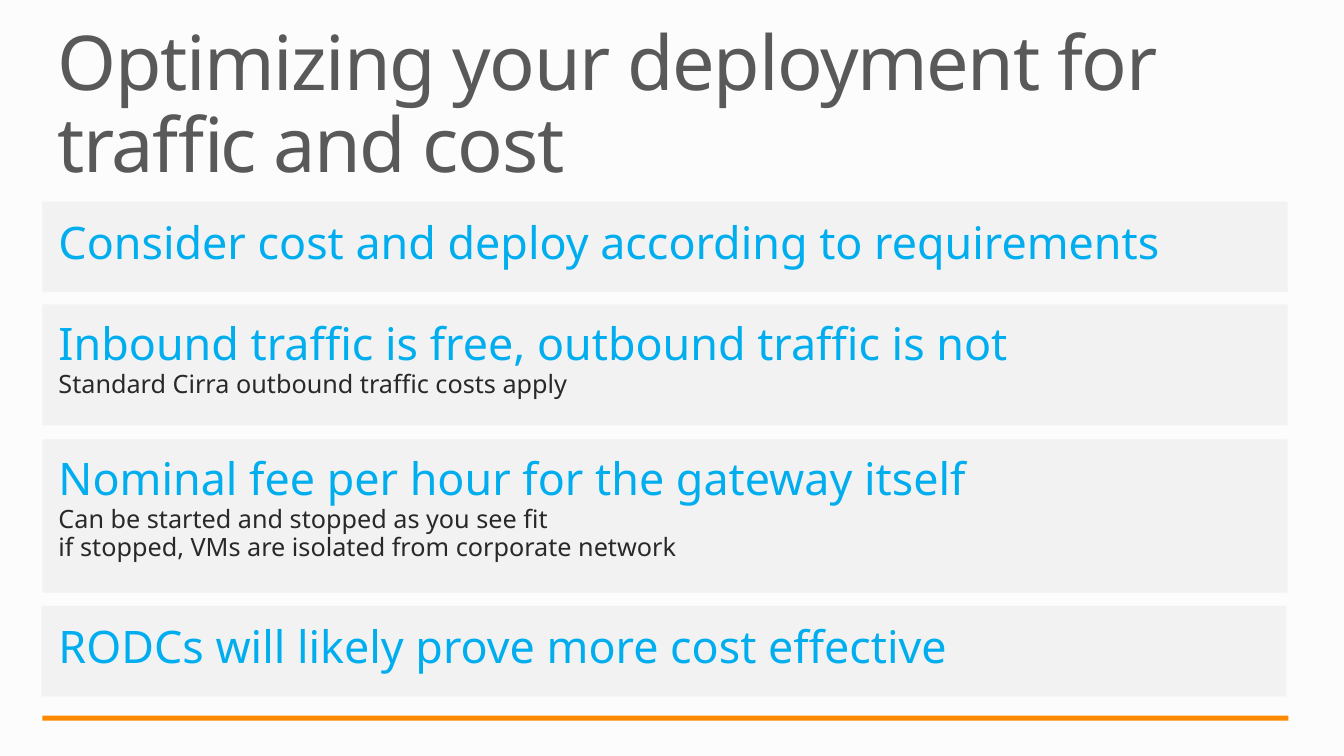
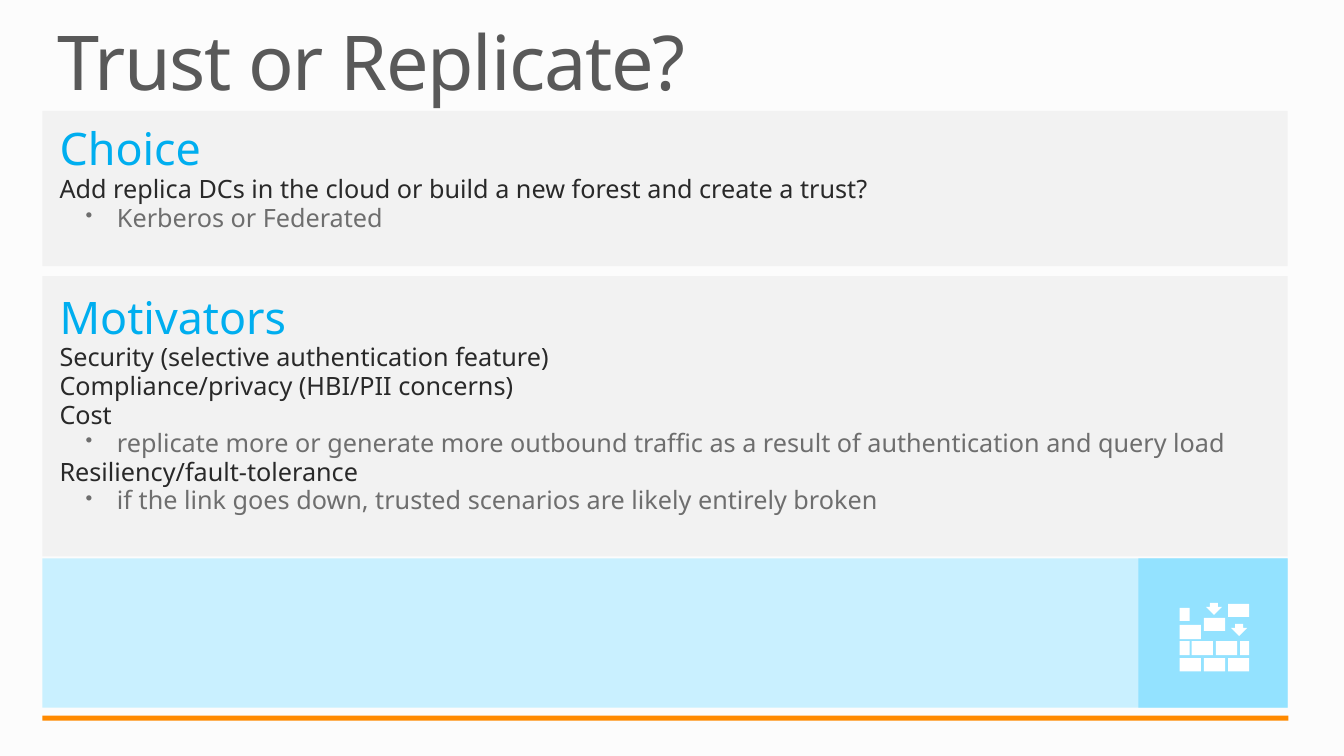
import pptx
import pptx.dml.color
import pptx.enum.shapes
import pptx.enum.text
import pptx.oxml.ns
import pptx.util
from lxml import etree

Inches = pptx.util.Inches
Pt = pptx.util.Pt

COLORS = {
    "background": "FCFCFC", "title": "595959", "heading": "00AEEF",
    "body": "292929", "bullet": "6E6E6E", "panel": "F2F2F2",
    "rule": "FF8A00", "band": "C9F0FF", "tile": "93E2FF", "icon": "FFFFFF",
}
# Text level: size in points, space before in points
LEVELS = {"title": (54, 0), "heading": (32, 0), "body": (18, 1), "bullet": (18, 1)}
FONT = "Noto Sans"
EDGE, WIDTH = 0.42, 12.35
TEXT_WIDTH = 12.19


class Slides:
    """Holds the shared style and the current page."""

    def __init__(self):
        self.deck = pptx.Presentation()
        self.deck.slide_width = Inches(13.33)
        self.deck.slide_height = Inches(7.5)
        self.page = None

    def color(self, name):
        return pptx.dml.color.RGBColor.from_string(COLORS[name])

    def paint(self, shape, name):
        shape.shadow.inherit = False
        shape.fill.solid()
        shape.fill.fore_color.rgb = self.color(name)
        shape.line.fill.background()

    def start(self, title):
        self.page = self.deck.slides.add_slide(self.deck.slide_layouts[6])
        fill = self.page.background.fill
        fill.solid()
        fill.fore_color.rgb = self.color("background")
        self.text(0.57, 0.25, 0.82, [("title", title)])
        self.block(EDGE, 7.1, 12.36, 0.05, "rule")

    def block(self, left, top, width, height, name):
        kind = pptx.enum.shapes.MSO_SHAPE.RECTANGLE
        box = self.page.shapes.add_shape(
            kind, Inches(left), Inches(top), Inches(width), Inches(height))
        self.paint(box, name)

    def text(self, left, top, height, lines):
        box = self.page.shapes.add_textbox(
            Inches(left), Inches(top), Inches(TEXT_WIDTH), Inches(height))
        frame = box.text_frame
        frame.word_wrap = True
        frame.margin_left = frame.margin_right = 0
        frame.margin_top = frame.margin_bottom = 0
        frame.vertical_anchor = pptx.enum.text.MSO_ANCHOR.TOP
        frame.text = "\n".join(line for level, line in lines)
        for para, (level, line) in zip(frame.paragraphs, lines):
            size, before = LEVELS[level]
            para.line_spacing = 0.9
            para.space_before = Pt(before)
            span = para.runs[0]
            span.font.name = FONT
            span.font.size = Pt(size)
            span.font.color.rgb = self.color(level)
            if level == "title":
                span._r.get_or_add_rPr().set("spc", "-100")
            if level == "bullet":
                self.bullet(para)

    def bullet(self, para):
        props = para._p.get_or_add_pPr()
        props.set("marL", str(Inches(0.57)))
        props.set("indent", str(Inches(-0.31)))
        qn = pptx.oxml.ns.qn
        etree.SubElement(props, qn("a:buSzPct")).set("val", "80000")
        etree.SubElement(props, qn("a:buChar")).set("char", "•")

    def panel(self, top, height, text_left, text_top, lines, left=EDGE):
        self.block(left, top, WIDTH, height, "panel")
        self.text(text_left, text_top, top + height - text_top, lines)

    def outline(self, contours, name):
        """Draws closed contours, given in hundredths of an inch, as one shape."""
        first, *others = contours
        builder = self.page.shapes.build_freeform(*first[0], scale=Inches(0.01))
        builder.add_line_segments(first[1:], close=True)
        for points in others:
            builder.move_to(*points[0])
            builder.add_line_segments(points[1:], close=True)
        self.paint(builder.convert_to_shape(), name)


def brick(left, top, width, height):
    right, bottom = left + width, top + height
    return [(left, top), (right, top), (right, bottom), (left, bottom)]


def down_arrow(tip_x, tip_y):
    steps = [(0, 0), (8, -8), (4, -8), (4, -12), (-4, -12), (-4, -8), (-8, -8)]
    return [(tip_x + dx, tip_y + dy) for dx, dy in steps]


slides = Slides()

# Traffic and cost
slides.start("Optimizing your deployment for traffic and cost")
slides.panel(2, 0.9, 0.58, 2.19, [
    ("heading", "Consider cost and deploy according to requirements")])
slides.panel(3.02, 1.2, 0.58, 3.19, [
    ("heading", "Inbound traffic is free, outbound traffic is not"),
    ("body", "Standard Cirra outbound traffic costs apply")])
slides.panel(4.36, 1.52, 0.58, 4.53, [
    ("heading", "Nominal fee per hour for the gateway itself"),
    ("body", "Can be started and stopped as you see fit"),
    ("body", "if stopped, VMs are isolated from corporate network")])
slides.panel(6.01, 0.9, 0.58, 6.2, [
    ("heading", "RODCs will likely prove more cost effective")], left=0.41)

# Trust or replicate
slides.start("Trust or Replicate?")
slides.panel(1.1, 1.54, 0.59, 1.26, [
    ("heading", "Choice"),
    ("body", "Add replica DCs in the cloud or build a new forest and create a trust?"),
    ("bullet", "Kerberos or Federated")])
slides.block(EDGE, 5.54, WIDTH, 1.48, "band")
slides.block(11.29, 5.54, 1.48, 1.48, "tile")
slides.panel(2.74, 2.78, 0.59, 2.93, [
    ("heading", "Motivators"),
    ("body", "Security (selective authentication feature)"),
    ("body", "Compliance/privacy (HBI/PII concerns)"),
    ("body", "Cost"),
    ("bullet", "replicate more or generate more outbound traffic as a result of "
               "authentication and query load"),
    ("body", "Resiliency/fault-tolerance"),
    ("bullet", "if the link goes down, trusted scenarios are likely entirely broken")])

# Brick wall icon: (left, top, width) of each brick
wall = [(1170 + 24 * column, 653, 21) for column in range(3)]
wall += [(1170, 636, 10), (1182, 636, 21), (1206, 636, 21), (1230, 636, 9)]
wall += [(1170, 620, 21), (1194, 613, 21), (1218, 599, 21), (1170, 603, 10)]
contours = [brick(left, top, width, 13.5) for left, top, width in wall]
contours += [down_arrow(1204, 610), down_arrow(1229, 631)]
slides.outline(contours, "icon")

slides.deck.save("out.pptx")
